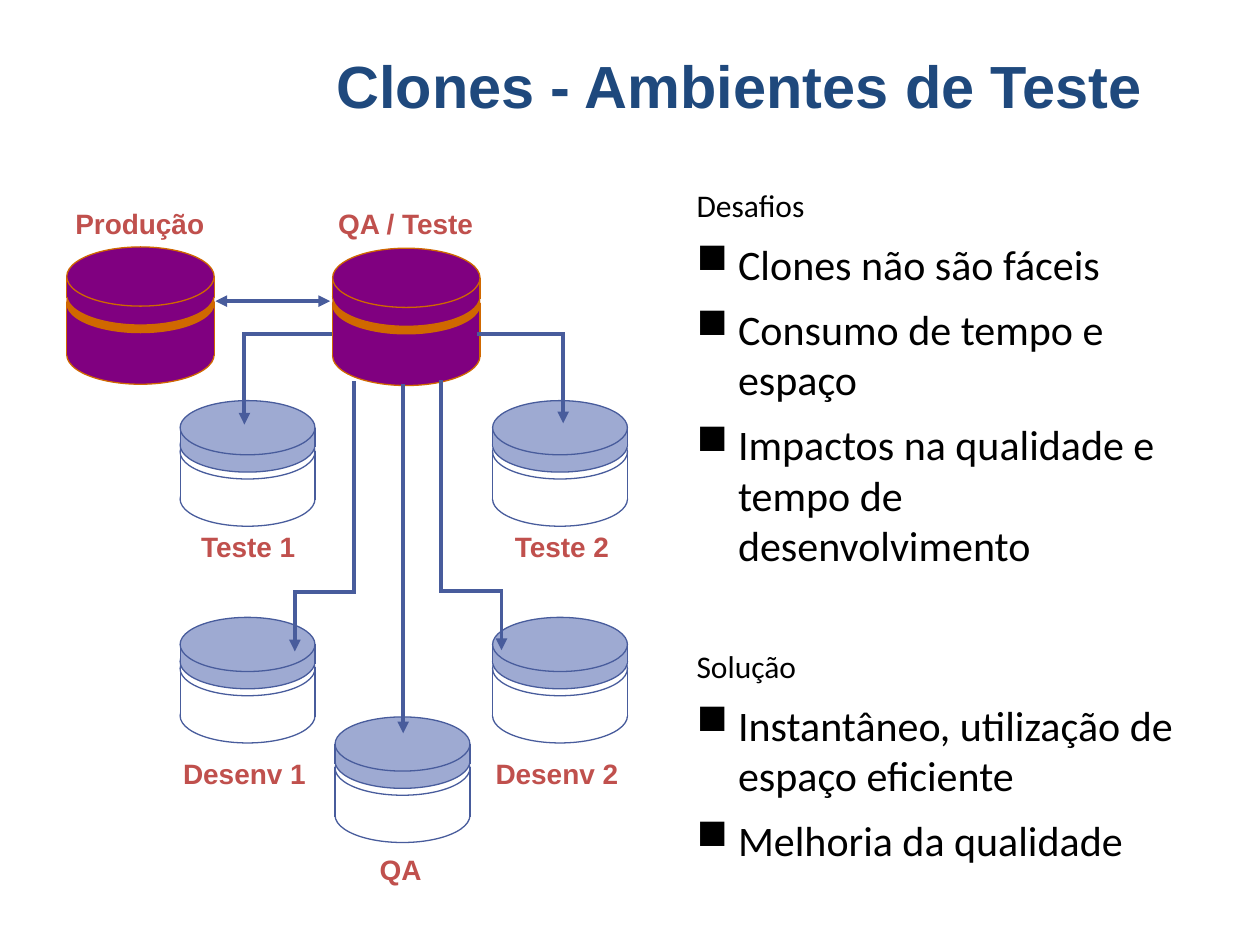
from lxml import etree
from pptx import Presentation
from pptx.dml.color import RGBColor
from pptx.enum.shapes import MSO_CONNECTOR, MSO_SHAPE
from pptx.enum.text import MSO_ANCHOR, MSO_AUTO_SIZE, PP_ALIGN
from pptx.oxml.ns import qn
from pptx.util import Inches, Pt

STRAIGHT = MSO_CONNECTOR.STRAIGHT
OVAL, RECTANGLE = MSO_SHAPE.OVAL, MSO_SHAPE.RECTANGLE
MIDDLE = MSO_ANCHOR.MIDDLE
LEFT, CENTER = PP_ALIGN.LEFT, PP_ALIGN.CENTER
NO_AUTOFIT = MSO_AUTO_SIZE.NONE

NAVY, RED, BLACK, BLUE = "1F497D", "C0504D", "000000", "485C9C"
# Cylinder styles: (body, band, lid, outline)
PRIMARY = ("800080", "D06800", "800080", "D06800")
CLONE = ("FFFFFF", "FFFFFF", "9EAAD2", BLUE)
PRIMARY_WIDTH, CLONE_WIDTH = 1.17, 1.07

PRIMARIES = [(0.53, 1.96), (2.64, 1.97)]
CLONES = [(2.66, 5.69), (3.91, 4.9), (1.43, 4.9), (3.91, 3.18), (1.43, 3.18)]
# Label centres
LABELS = [
    ("Produção", 1.11, 1.77), ("QA / Teste", 3.22, 1.77),
    ("Teste 1", 1.97, 4.34), ("Teste 2", 4.46, 4.34),
    ("Desenv 1", 1.94, 6.14), ("Desenv 2", 4.42, 6.14),
    ("QA", 3.18, 6.9),
]
# Each route runs from the QA database to a clone
ROUTES = [
    [(3.5, 3.03), (3.5, 4.69), (3.98, 4.69), (3.98, 5.16)],
    [(3.2, 3.06), (3.2, 5.82)],
    [(2.81, 3.04), (2.81, 4.7), (2.34, 4.7), (2.34, 5.17)],
    [(3.8, 2.65), (4.47, 2.65), (4.47, 3.36)],
    [(2.62, 2.65), (1.94, 2.65), (1.94, 3.37)],
]


def color(hex_string):
    return RGBColor.from_string(hex_string)


def format_font(paragraph, name, size, hex_string, bold=False):
    font = paragraph.font
    font.name, font.size, font.bold = name, Pt(size), bold
    font.color.rgb = color(hex_string)


def add_line(shapes, start, end, hex_string, width, arrows=()):
    """Draw a straight line; arrows lists the ends ("headEnd", "tailEnd") to point."""
    connector = shapes.add_connector(
        STRAIGHT, *(Inches(value) for value in (*start, *end)))
    connector.line.color.rgb = color(hex_string)
    connector.line.width = Pt(width)
    properties = connector._element.spPr
    line = properties.find(qn("a:ln"))
    line.set("cap", "sq")
    for arrow in arrows:
        etree.SubElement(line, qn(f"a:{arrow}"), type="triangle")
    etree.SubElement(properties, qn("a:effectLst"))


def add_part(shapes, kind, left, top, width, height, fill, outline=None):
    shape = shapes.add_shape(
        kind, *(Inches(value) for value in (left, top, width, height)))
    shape.shadow.inherit = False
    shape.fill.solid()
    shape.fill.fore_color.rgb = color(fill)
    if outline:
        shape.line.color.rgb = color(outline)
        shape.line.width = Pt(0.75)
    else:
        shape.line.fill.background()


def add_cylinder(slide, left, top, width, style):
    """Build a database from ellipses, rectangles and side lines, scaled to width."""
    body, band, lid, outline = style
    shapes = slide.shapes.add_group_shape().shapes
    scale = width / PRIMARY_WIDTH

    def ellipse(offset, fill):
        add_part(shapes, OVAL, left, top + offset * scale,
                 width, 0.47 * scale, fill, outline)

    def wall(offset, height, fill):
        start, end = top + offset * scale, top + (offset + height) * scale
        add_part(shapes, RECTANGLE, left, start, width, end - start, fill)
        return start, end

    def sides(start, end):
        for x in (left, left + width):
            add_line(shapes, (x, start), (x, end), outline, 0.75)

    ellipse(0.62, body)
    body_span = wall(0.44, 0.42, body)
    ellipse(0.21, band)
    sides(*body_span)
    ellipse(0.15, lid)
    lid_span = wall(0.24, 0.16, lid)
    sides(*lid_span)
    ellipse(0, lid)


def add_label(slide, text, center_x, center_y):
    width, height = 1.3, 0.36
    box = slide.shapes.add_textbox(
        Inches(center_x - width / 2), Inches(center_y - height / 2),
        Inches(width), Inches(height))
    frame = box.text_frame
    frame.word_wrap = False
    frame.vertical_anchor = MIDDLE
    paragraph = frame.paragraphs[0]
    paragraph.text = text
    paragraph.alignment = CENTER
    format_font(paragraph, "Arial", 16, RED, bold=True)


def add_route(slide, points):
    """Join the points with lines and put an arrowhead at the last one."""
    for start, end in zip(points, points[1:]):
        arrows = ("tailEnd",) if end == points[-1] else ()
        add_line(slide.shapes, start, end, BLUE, 2.25, arrows)


def add_diagram(slide):
    add_line(slide.shapes, (2.62, 2.39), (1.71, 2.39), BLUE, 2.25,
             ("headEnd", "tailEnd"))
    for left, top in PRIMARIES:
        add_cylinder(slide, left, top, PRIMARY_WIDTH, PRIMARY)
    for left, top in CLONES:
        add_cylinder(slide, left, top, CLONE_WIDTH, CLONE)
    for points in ROUTES:
        add_route(slide, points)
    for label in LABELS:
        add_label(slide, *label)


def add_bullet_list(slide, left, top, width, height, heading, items):
    box = slide.shapes.add_textbox(
        Inches(left), Inches(top), Inches(width), Inches(height))
    frame = box.text_frame
    frame.word_wrap = True
    frame.vertical_anchor = MIDDLE
    for index, text in enumerate([heading, *items]):
        paragraph = frame.add_paragraph() if index else frame.paragraphs[0]
        paragraph.text = text
        properties = paragraph._p.get_or_add_pPr()
        properties.set("marL", str(Inches(0.33)))
        properties.set("indent", str(Inches(-0.33)))
        if index:
            etree.SubElement(properties, qn("a:buChar"), char="■")
            paragraph.space_before = Pt(8.4)
        format_font(paragraph, "Calibri", 24 if index else 18, BLACK)


def add_title(slide, text, left, top, width, height):
    title = slide.shapes.title
    title.left, title.top = Inches(left), Inches(top)
    title.width, title.height = Inches(width), Inches(height)
    frame = title.text_frame
    frame.text = text
    frame.auto_size = NO_AUTOFIT
    frame.vertical_anchor = MIDDLE
    paragraph = frame.paragraphs[0]
    paragraph.alignment = LEFT
    format_font(paragraph, "Arial", 34, NAVY, bold=True)


def main():
    presentation = Presentation()
    presentation.slide_width, presentation.slide_height = Inches(10), Inches(7.5)
    slide = presentation.slides.add_slide(presentation.slide_layouts[5])
    add_title(slide, "Clones - Ambientes de Teste", 2.57, 0.18, 8.03, 0.99)
    add_bullet_list(slide, 5.43, 1.3, 4.17, 3.4, "Desafios", [
        "Clones não são fáceis",
        "Consumo de tempo e espaço",
        "Impactos na qualidade e tempo de desenvolvimento",
    ])
    add_bullet_list(slide, 5.43, 4.92, 4.17, 2.16, "Solução", [
        "Instantâneo, utilização de espaço eficiente",
        "Melhoria da qualidade",
    ])
    add_diagram(slide)
    presentation.save("out.pptx")


if __name__ == "__main__":
    main()
